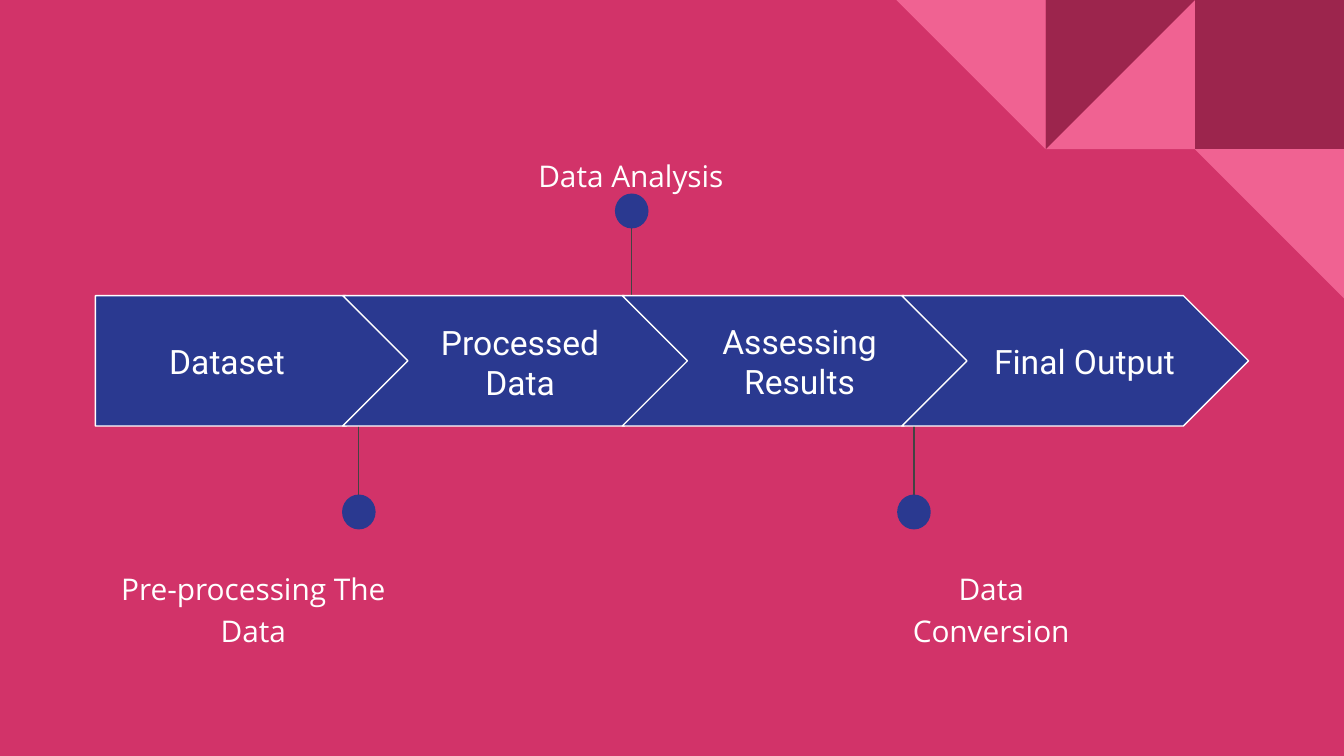
from lxml.etree import SubElement
from pptx import Presentation
from pptx.dml.color import RGBColor
from pptx.enum.shapes import MSO_CONNECTOR, MSO_SHAPE
from pptx.enum.text import MSO_ANCHOR, PP_ALIGN
from pptx.oxml.ns import qn
from pptx.util import Inches, Pt

COLORS = {
    "background": "D23369",
    "dark": "9C254D",
    "light": "F06292",
    "navy": "2A3990",
    "white": "FFFFFF",
    "stem": "434343",
}
STAGE_FONT = {"name": "Roboto", "size": Pt(18)}
NOTE_FONT = {"name": "Open Sans", "size": Pt(16)}
STAGE_PARA = {"alignment": PP_ALIGN.CENTER}
NOTE_PARA = {"alignment": PP_ALIGN.CENTER, "line_spacing": 1.15, "space_after": Pt(16)}

TILE = 1.11
BAND_TOP, BAND_HEIGHT = 2.2, 0.97
CHEVRON_LEFT, CHEVRON_WIDTH, CHEVRON_STEP = 2.55, 2.58, 2.08
DOT_WIDTH, DOT_HEIGHT = 0.25, 0.26


def color(name):
    return RGBColor.from_string(COLORS[name])


def apply_format(target, values):
    for name, value in values.items():
        setattr(target, name, value)


def add_figure(page, kind, place, fill, outline=None, rotation=0):
    figure = page.shapes.add_shape(kind, *map(Inches, place))
    figure.shadow.inherit = False
    figure.rotation = rotation
    figure.fill.solid()
    figure.fill.fore_color.rgb = color(fill)
    if outline:
        figure.line.color.rgb = color(outline)
        figure.line.width = Pt(0.75)
    else:
        figure.line.fill.background()
    return figure


def add_label(page, text, place, font, para_format, anchor):
    box = page.shapes.add_textbox(*map(Inches, place))
    frame = box.text_frame
    inset = Inches(0.1)
    apply_format(frame, {
        "word_wrap": True,
        "vertical_anchor": anchor,
        "margin_left": inset,
        "margin_right": inset,
        "margin_top": inset,
        "margin_bottom": inset,
    })
    para = frame.paragraphs[0]
    apply_format(para, para_format)
    span = para.add_run()
    span.text = text
    apply_format(span.font, font)
    span.font.color.rgb = color("white")


def add_corner_tiles(page):
    triangle = MSO_SHAPE.RIGHT_TRIANGLE
    tiles = [
        (MSO_SHAPE.RECTANGLE, 1, 0, "dark", 0),
        (triangle, 2, 0, "light", 270),
        (triangle, 2, 0, "dark", 90),
        (triangle, 3, 0, "light", 180),
        (triangle, 1, 1, "light", 180),
    ]
    for kind, from_right, row, fill, rotation in tiles:
        place = (10 - from_right * TILE, row * TILE, TILE, TILE)
        add_figure(page, kind, place, fill, rotation=rotation)


def add_pin(page, center, stem_start, stem_end, dot_top):
    ends = map(Inches, (center, stem_start, center, stem_end))
    stem = page.shapes.add_connector(MSO_CONNECTOR.STRAIGHT, *ends)
    stem.line.color.rgb = color("stem")
    stem.line.width = Pt(0.75)
    SubElement(stem._element.spPr, qn("a:effectLst"))
    dot = (center - DOT_WIDTH / 2, dot_top, DOT_WIDTH, DOT_HEIGHT)
    add_figure(page, MSO_SHAPE.OVAL, dot, "navy")


def add_notes(page):
    below = (3.89, 3.16, 3.68)
    above = (1.49, 2.21, 1.44)
    notes = [
        ("Pre-processing The Data", 2.67, below, (0.8, 4.11, 2.17, 0.97), MSO_ANCHOR.TOP),
        ("Data Analysis", 4.7, above, (3.83, 1.14, 1.73, 0.3), MSO_ANCHOR.MIDDLE),
        ("Data Conversion", 6.8, below, (6.65, 4.11, 1.45, 0.81), MSO_ANCHOR.TOP),
    ]
    for text, center, heights, place, anchor in notes:
        add_pin(page, center, *heights)
        add_label(page, text, place, NOTE_FONT, NOTE_PARA, anchor)


def add_stages(page):
    stages = [
        ("Dataset", (0.71, 2.38, 1.96, 0.61)),
        ("Processed Data", (2.92, 2.29, 1.9, 0.81)),
        ("Assessing Results", (5, 2.38, 1.9, 0.61)),
        ("Final Output", (7.12, 2.38, 1.9, 0.61)),
    ]
    for index, (text, place) in enumerate(stages):
        if index == 0:
            kind, left, width = MSO_SHAPE.PENTAGON, 0.71, 2.35
        else:
            kind, width = MSO_SHAPE.CHEVRON, CHEVRON_WIDTH
            left = CHEVRON_LEFT + (index - 1) * CHEVRON_STEP
        band = (left, BAND_TOP, width, BAND_HEIGHT)
        arrow = add_figure(page, kind, band, "navy", "white")
        arrow.adjustments[0] = 0.5
        add_label(page, text, place, STAGE_FONT, STAGE_PARA, MSO_ANCHOR.MIDDLE)


def main():
    deck = Presentation()
    deck.slide_width = Inches(10)
    deck.slide_height = Inches(10 * 9 / 16)
    page = deck.slides.add_slide(deck.slide_layouts[6])
    page.background.fill.solid()
    page.background.fill.fore_color.rgb = color("background")
    add_corner_tiles(page)
    add_notes(page)
    add_stages(page)
    deck.save("out.pptx")


if __name__ == "__main__":
    main()
